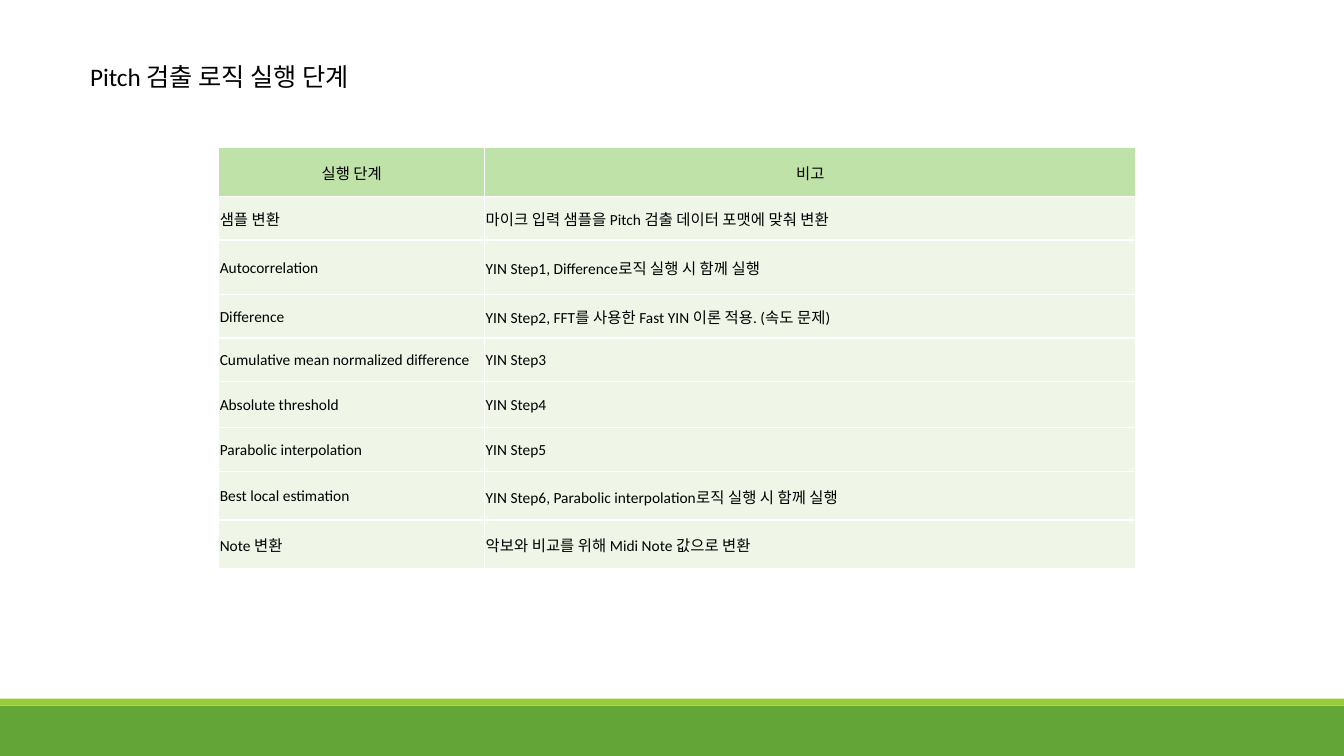
from lxml import etree
from pptx import Presentation
from pptx.dml.color import RGBColor
from pptx.enum.shapes import MSO_SHAPE
from pptx.enum.text import MSO_ANCHOR, MSO_AUTO_SIZE, PP_ALIGN
from pptx.oxml.ns import qn
from pptx.util import Pt

RECTANGLE = MSO_SHAPE.RECTANGLE
MIDDLE = MSO_ANCHOR.MIDDLE
GROW = MSO_AUTO_SIZE.SHAPE_TO_FIT_TEXT
LEFT, CENTER = PP_ALIGN.LEFT, PP_ALIGN.CENTER

FONT = "Calibri"
COLORS = {
    "text": "000000",
    "border": "FFFFFF",
    "header": "BFE2A8",
    "body": "EFF6E8",
    "footer": "63A537",
    "accent": "99CB38",
}
SLIDE_WIDTH, SLIDE_HEIGHT = 960, 540
COLUMN_WIDTHS = [190, 465]
STEPS = [
    (35, "실행 단계", "비고"),
    (31, "샘플 변환", "마이크 입력 샘플을 Pitch 검출 데이터 포맷에 맞춰 변환"),
    (39, "Autocorrelation", "YIN Step1, Difference로직 실행 시 함께 실행"),
    (31, "Difference", "YIN Step2, FFT를 사용한 Fast YIN 이론 적용. (속도 문제)"),
    (31, "Cumulative mean normalized difference", "YIN Step3"),
    (33, "Absolute threshold", "YIN Step4"),
    (31.5, "Parabolic interpolation", "YIN Step5"),
    (34.5, "Best local estimation", "YIN Step6, Parabolic interpolation로직 실행 시 함께 실행"),
    (34.5, "Note 변환", "악보와 비교를 위해 Midi Note 값으로 변환"),
]


def rgb(name):
    return RGBColor.from_string(COLORS[name])


def style_paragraph(paragraph, size, alignment=LEFT):
    paragraph.alignment = alignment
    paragraph.font.name = FONT
    paragraph.font.size = Pt(size)
    paragraph.font.color.rgb = rgb("text")


def add_footer(slide, left, top, width, height):
    accent_height = 5
    bands = [
        ("footer", top + accent_height, height - accent_height),
        ("accent", top, accent_height),
    ]
    for color, band_top, band_height in bands:
        band = slide.shapes.add_shape(
            RECTANGLE, Pt(left), Pt(band_top), Pt(width), Pt(band_height))
        band.shadow.inherit = False
        band.fill.solid()
        band.fill.fore_color.rgb = rgb(color)
        band.line.fill.background()


def add_title(slide, left, top, width, height):
    title = slide.shapes.add_textbox(Pt(left), Pt(top), Pt(width), Pt(height))
    frame = title.text_frame
    frame.word_wrap = False
    frame.auto_size = GROW
    frame.text = "Pitch 검출 로직 실행 단계"
    style_paragraph(frame.paragraphs[0], 18)


def add_borders(cell):
    properties = cell._tc.get_or_add_tcPr()
    for side in ("a:lnL", "a:lnR", "a:lnT", "a:lnB"):
        border = etree.SubElement(properties, qn(side), w=str(Pt(1)))
        fill = etree.SubElement(border, qn("a:solidFill"))
        etree.SubElement(fill, qn("a:srgbClr"), val=COLORS["border"])


def fill_cell(cell, text, is_header):
    add_borders(cell)
    cell.fill.solid()
    cell.fill.fore_color.rgb = rgb("header" if is_header else "body")
    cell.vertical_anchor = MIDDLE
    cell.margin_left = cell.margin_right = cell.margin_top = Pt(0.7)
    cell.margin_bottom = 0
    cell.text = text
    style_paragraph(cell.text_frame.paragraphs[0], 11, CENTER if is_header else LEFT)


def add_steps_table(slide, left, top, width, height):
    steps_table = slide.shapes.add_table(
        len(STEPS), len(COLUMN_WIDTHS), Pt(left), Pt(top), Pt(width), Pt(height)).table
    for column, column_width in zip(steps_table.columns, COLUMN_WIDTHS):
        column.width = Pt(column_width)
    for index, (row_height, *texts) in enumerate(STEPS):
        row = steps_table.rows[index]
        row.height = Pt(row_height)
        for cell, text in zip(row.cells, texts):
            fill_cell(cell, text, index == 0)


def main():
    presentation = Presentation()
    presentation.slide_width = Pt(SLIDE_WIDTH)
    presentation.slide_height = Pt(SLIDE_HEIGHT)
    slide = presentation.slides.add_slide(presentation.slide_layouts[6])
    add_footer(slide, 0, 499, SLIDE_WIDTH, 41)
    add_title(slide, 57.3, 40.3, 213, 29)
    add_steps_table(slide, 156.3, 105.5, sum(COLUMN_WIDTHS), sum(step[0] for step in STEPS))
    presentation.save("out.pptx")


if __name__ == "__main__":
    main()
